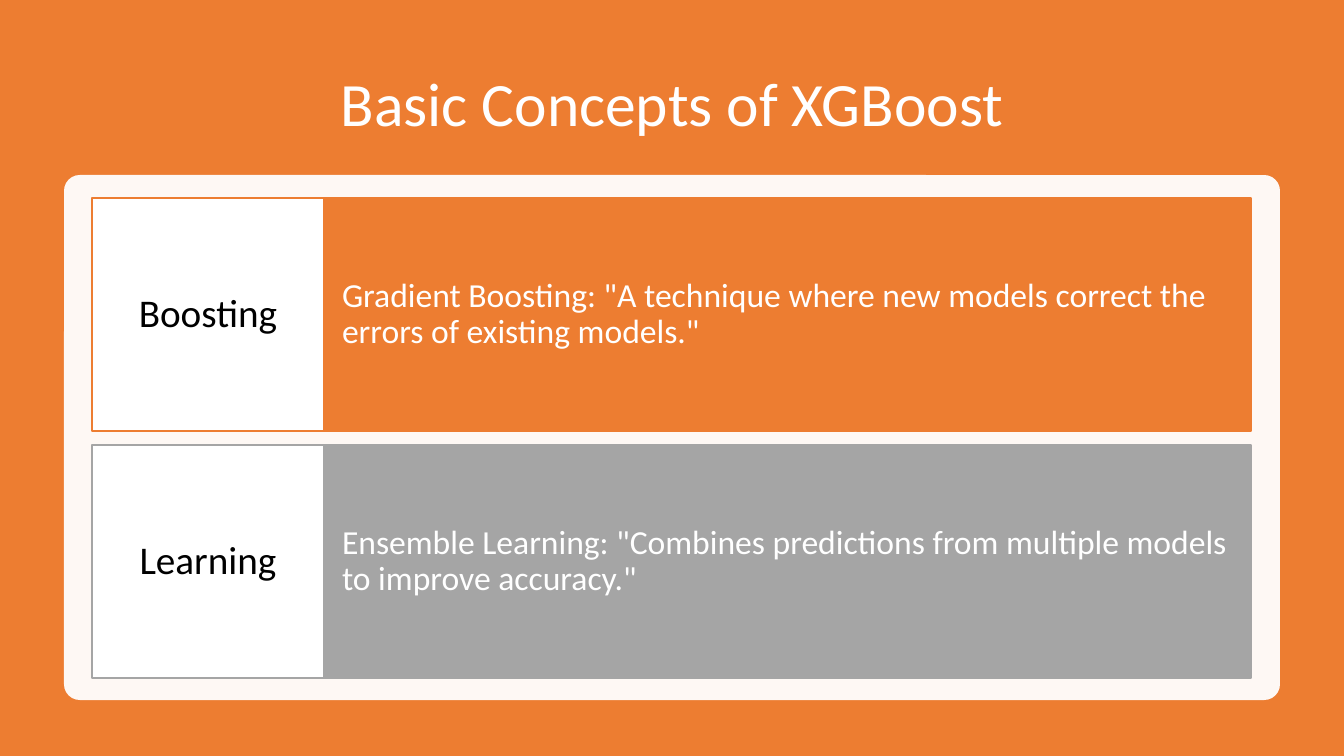
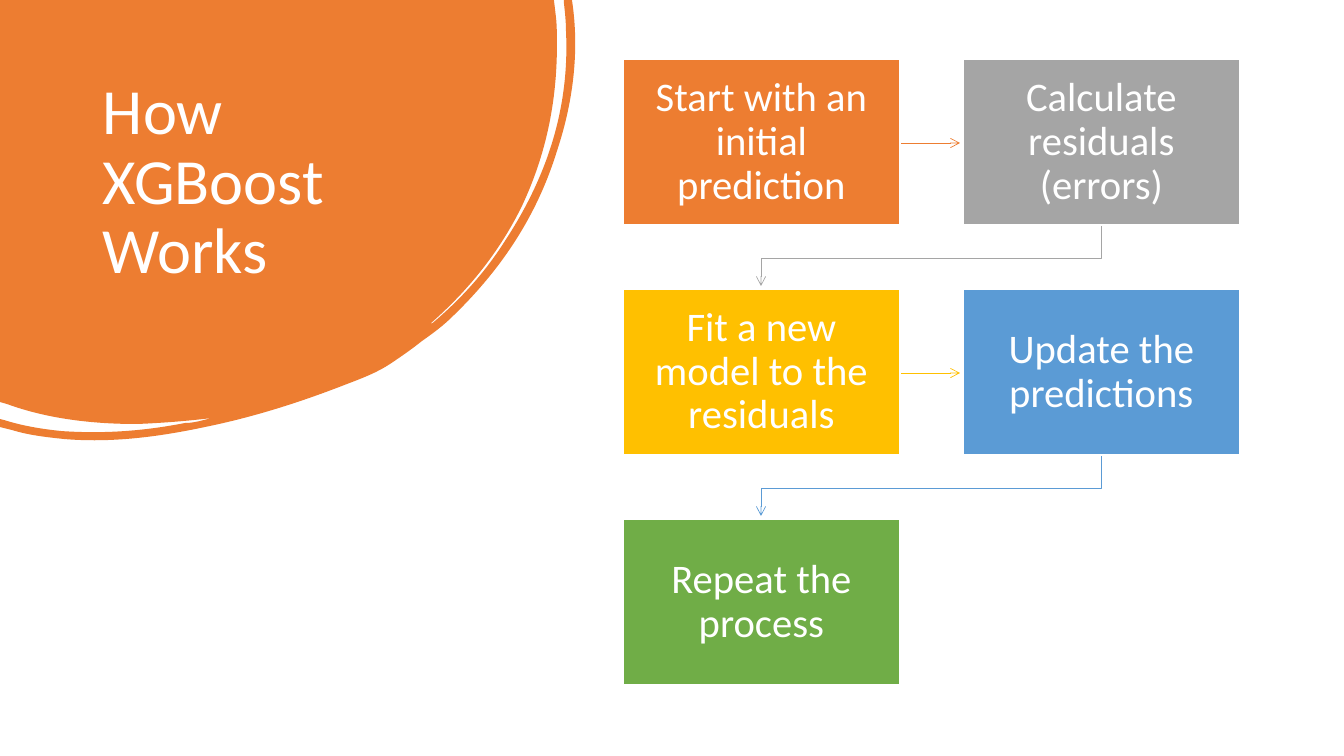
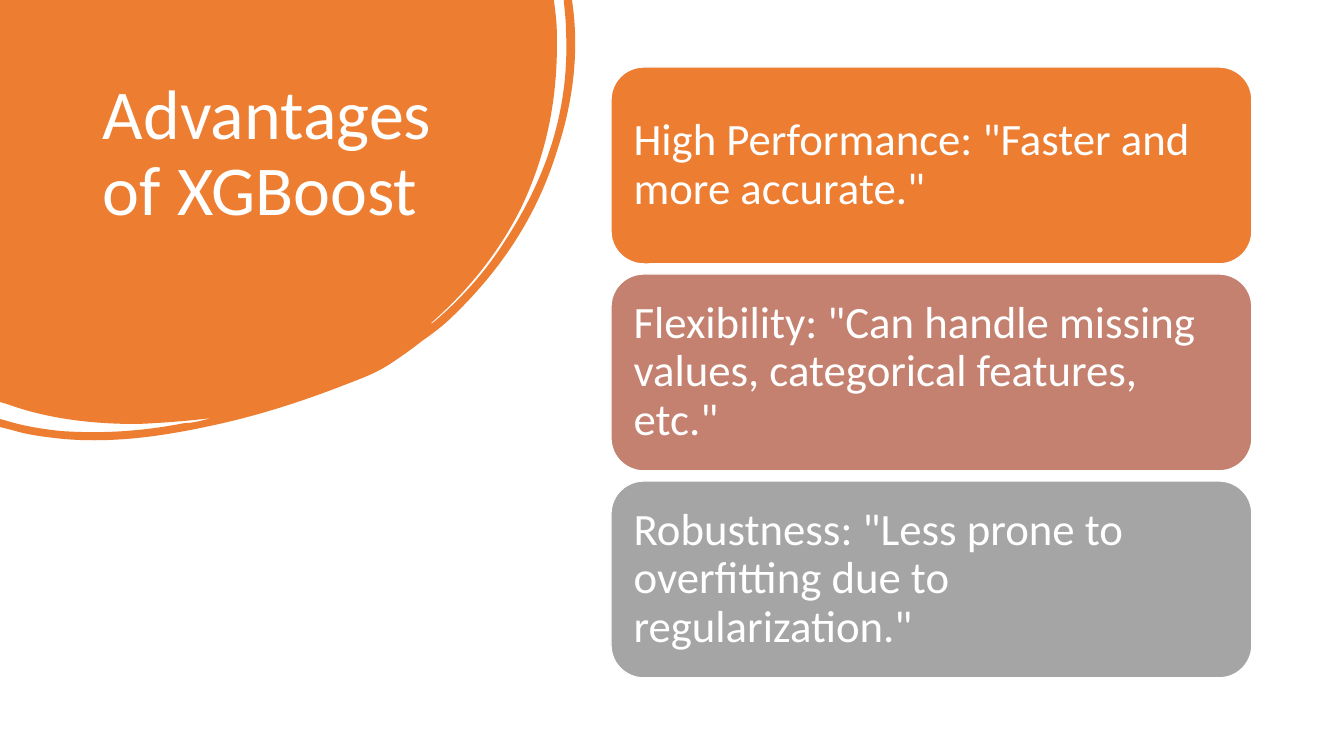
from lxml.etree import SubElement
from pptx import Presentation
from pptx.dml.color import RGBColor
from pptx.enum.shapes import MSO_CONNECTOR, MSO_SHAPE
from pptx.enum.text import MSO_ANCHOR, MSO_AUTO_SIZE, PP_ALIGN
from pptx.oxml.ns import qn
from pptx.util import Pt

SLIDE_WIDTH, SLIDE_HEIGHT = 1344, 756
PX = 12192000 / SLIDE_WIDTH
FONT = "Calibri"
COLORS = {
    "orange": "ED7D31",
    "gray": "A5A5A5",
    "gold": "FFC000",
    "blue": "5B9BD5",
    "green": "70AD47",
    "rose": "C48170",
    "white": "FFFFFF",
    "black": "000000",
}
RGB = {name: RGBColor.from_string(value) for name, value in COLORS.items()}


def set_text(shape, text, size, color="white", align=PP_ALIGN.LEFT,
             anchor=MSO_ANCHOR.MIDDLE, inset=10):
    frame = shape.text_frame
    frame.text = text
    frame.word_wrap = True
    frame.auto_size = MSO_AUTO_SIZE.NONE
    frame.vertical_anchor = anchor
    frame.margin_left = frame.margin_right = round(inset * PX)
    paragraph = frame.paragraphs[0]
    paragraph.alignment = align
    paragraph.line_spacing = 0.9
    font = paragraph.runs[0].font
    font.name = FONT
    font.size = Pt(size)
    font.color.rgb = RGB[color]


def add_box(slide, box, fill, line=None, kind=MSO_SHAPE.RECTANGLE):
    shape = slide.shapes.add_shape(kind, *[round(value * PX) for value in box])
    shape.shadow.inherit = False
    shape.fill.solid()
    shape.fill.fore_color.rgb = RGB[fill]
    if line:
        shape.line.color.rgb = RGB[line]
        shape.line.width = Pt(1)
    else:
        shape.line.fill.background()
    return shape


presentation = Presentation()
presentation.slide_width = round(SLIDE_WIDTH * PX)
presentation.slide_height = round(SLIDE_HEIGHT * PX)

BLOB_WIDTH, BLOB_HEIGHT = 576, 441
BLOB_OUTLINE = [
    (554, 0), (556, 17),
    (557, 26, 557, 36, 557, 45),
    (557, 102, 546, 155, 522, 206),
    (500, 251, 469, 290, 430, 324),
    (432, 324, 434, 322, 435, 321),
    (463, 297, 486, 271, 505, 241),
    (547, 177, 570, 108, 566, 30),
    (566, 21, 565, 12, 564, 3),
    (564, 0), (572, 0), (573, 7),
    (579, 54, 573, 103, 557, 151),
    (537, 216, 501, 270, 452, 317),
    (443, 326, 432, 334, 422, 341),
    (412, 349, 402, 356, 390, 364),
    (378, 372, 363, 378, 347, 384),
    (301, 402, 254, 417, 205, 427),
    (158, 437, 111, 443, 64, 439),
    (45, 437, 28, 435, 12, 430),
    (0, 427), (0, 419), (4, 420),
    (23, 426, 42, 429, 61, 431),
    (104, 434, 144, 431, 185, 423),
    (191, 423, 195, 422, 200, 421),
    (204, 420, 208, 419, 212, 418),
    (187, 421, 162, 423, 137, 424),
    (93, 424, 48, 419, 7, 404),
    (0, 402),
]

BAND_TITLE = (93, 51, 1159, 111)
BLOB_TITLE = (93, 74, 355, 224)
TITLES = [
    ("Basic Concepts of XGBoost", 44, BAND_TITLE),
    ("How XGBoost Works", 46, BLOB_TITLE),
    ("Advantages of XGBoost", 50, BLOB_TITLE),
]
slides = []
for text, size, box in TITLES:
    slide = presentation.slides.add_slide(presentation.slide_layouts[5])
    slides.append(slide)
    title = slide.shapes.title
    title.left, title.top, title.width, title.height = [round(value * PX) for value in box]
    if box == BAND_TITLE:
        backdrop = add_box(slide, (0, 0, SLIDE_WIDTH, SLIDE_HEIGHT), "orange")
        set_text(title, text, size, align=PP_ALIGN.CENTER)
    else:
        builder = slide.shapes.build_freeform(0, 0, scale=PX)
        builder.add_line_segments([segment[-2:] for segment in BLOB_OUTLINE])
        backdrop = builder.convert_to_shape()
        backdrop.width, backdrop.height = round(BLOB_WIDTH * PX), round(BLOB_HEIGHT * PX)
        outline = next(backdrop.element.iter(qn("a:path")))
        outline.set("w", str(BLOB_WIDTH))
        outline.set("h", str(BLOB_HEIGHT))
        for line_to, segment in zip(outline.findall(qn("a:lnTo")), BLOB_OUTLINE):
            if len(segment) == 6:
                curve = SubElement(outline, qn("a:cubicBezTo"))
                for x, y in zip(segment[::2], segment[1::2]):
                    SubElement(curve, qn("a:pt"), x=str(x), y=str(y))
                outline.replace(line_to, curve)
        backdrop.shadow.inherit = False
        backdrop.fill.solid()
        backdrop.fill.fore_color.rgb = RGB["orange"]
        backdrop.line.fill.background()
        set_text(title, text, size, anchor=MSO_ANCHOR.TOP)
    title.element.addprevious(backdrop.element)

concepts_slide, steps_slide, advantages_slide = slides

panel = add_box(concepts_slide, (64, 175, 1216, 525), "white", kind=MSO_SHAPE.ROUNDED_RECTANGLE)
panel.adjustments[0] = 0.03
panel_color = panel.element.spPr.find(qn("a:solidFill")).find(qn("a:srgbClr"))
SubElement(panel_color, qn("a:alpha"), val="95000")

CONCEPTS = [
    ("Boosting", "orange",
     'Gradient Boosting: "A technique where new models correct the errors of existing models."'),
    ("Learning", "gray",
     'Ensemble Learning: "Combines predictions from multiple models to improve accuracy."'),
]
for row, (label, color, description) in enumerate(CONCEPTS):
    top = 198 + row * 247
    description_box = add_box(concepts_slide, (324, top, 927, 233), color, color)
    set_text(description_box, description, 24, inset=18)
    label_box = add_box(concepts_slide, (92, top, 232, 233), "white", color)
    set_text(label_box, label, 28, "black", PP_ALIGN.CENTER, inset=12)

STEPS = [
    ("Start with an initial prediction", "orange"),
    ("Calculate residuals (errors)", "gray"),
    ("Fit a new model to the residuals", "gold"),
    ("Update the predictions", "blue"),
    ("Repeat the process", "green"),
]
STEP_LEFT, STEP_TOP, STEP_WIDTH, STEP_HEIGHT = 623, 59, 277, 166
COLUMN_STEP, ROW_STEP = 340, 230
for index, (text, color) in enumerate(STEPS):
    row, column = divmod(index, 2)
    left = STEP_LEFT + column * COLUMN_STEP
    top = STEP_TOP + row * ROW_STEP
    right, bottom = left + STEP_WIDTH, top + STEP_HEIGHT
    if index < len(STEPS) - 1:
        if column == 0:
            middle = top + STEP_HEIGHT // 2 + 1
            ends = (right, middle, right + 60, middle)
            arrow = steps_slide.shapes.add_connector(
                MSO_CONNECTOR.STRAIGHT, *[round(value * PX) for value in ends])
        else:
            center = left + STEP_WIDTH // 2
            next_center = center - COLUMN_STEP
            builder = steps_slide.shapes.build_freeform(center, bottom + 1, scale=PX)
            builder.add_line_segments(
                [(center, bottom + 33), (next_center, bottom + 33), (next_center, bottom + 61)],
                close=False)
            arrow = builder.convert_to_shape()
            arrow.fill.background()
        arrow.line.color.rgb = RGB[color]
        arrow.line.width = Pt(0.5)
        properties = arrow.element.spPr
        SubElement(properties.find(qn("a:ln")), qn("a:tailEnd"), type="arrow")
        SubElement(properties, qn("a:effectLst"))
    step_box = add_box(steps_slide, (left, top, STEP_WIDTH, STEP_HEIGHT), color, "white")
    set_text(step_box, text, 29, align=PP_ALIGN.CENTER, inset=13)

ADVANTAGES = [
    ('High Performance: "Faster and more accurate."', "orange"),
    ('Flexibility: "Can handle missing values, categorical features, etc."', "rose"),
    ('Robustness: "Less prone to overfitting due to regularization."', "gray"),
]
for row, (text, color) in enumerate(ADVANTAGES):
    card = add_box(advantages_slide, (611, 67 + row * 207, 641, 197), color, "white",
                   MSO_SHAPE.ROUNDED_RECTANGLE)
    set_text(card, text, 32, inset=13)

presentation.save("out.pptx")
